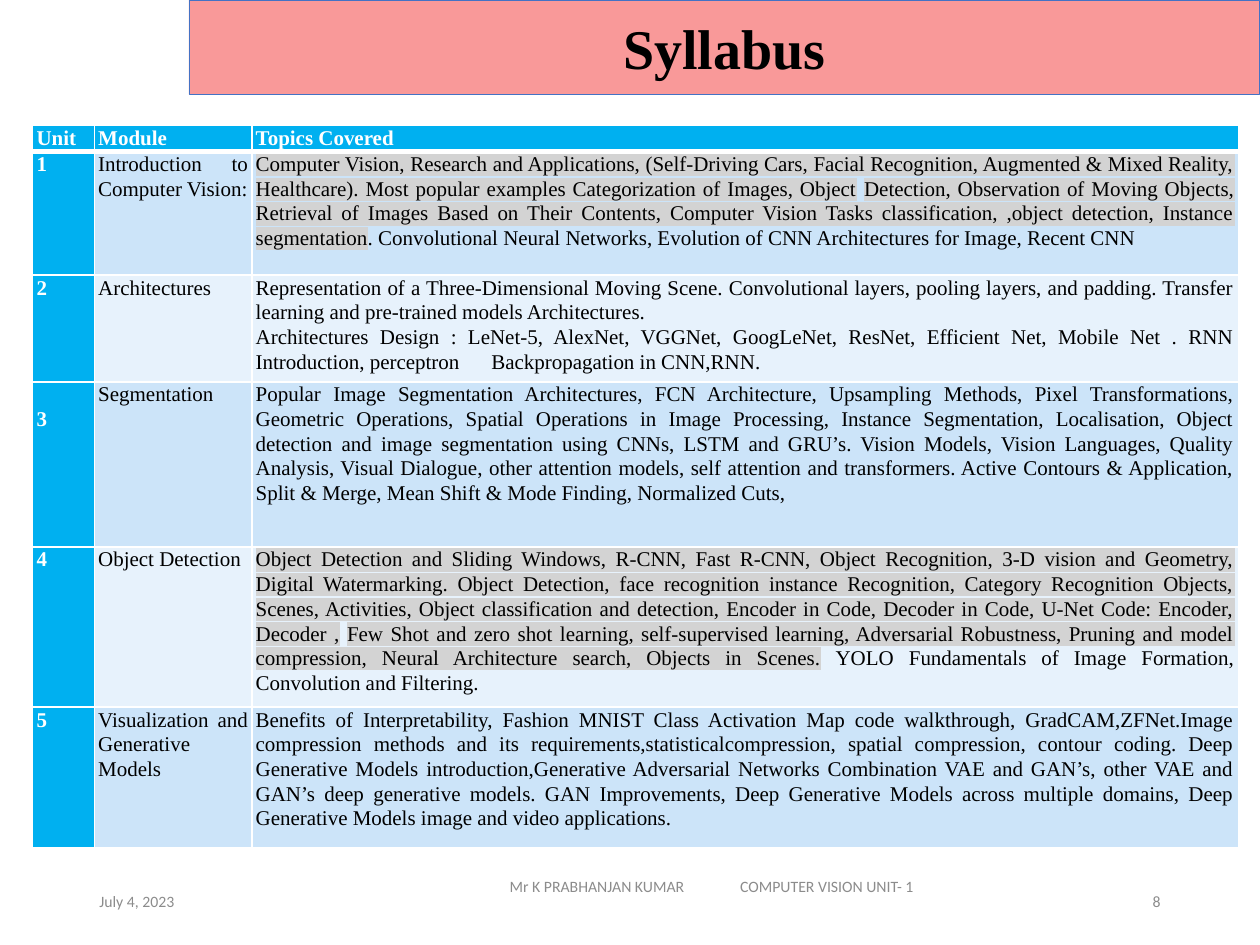
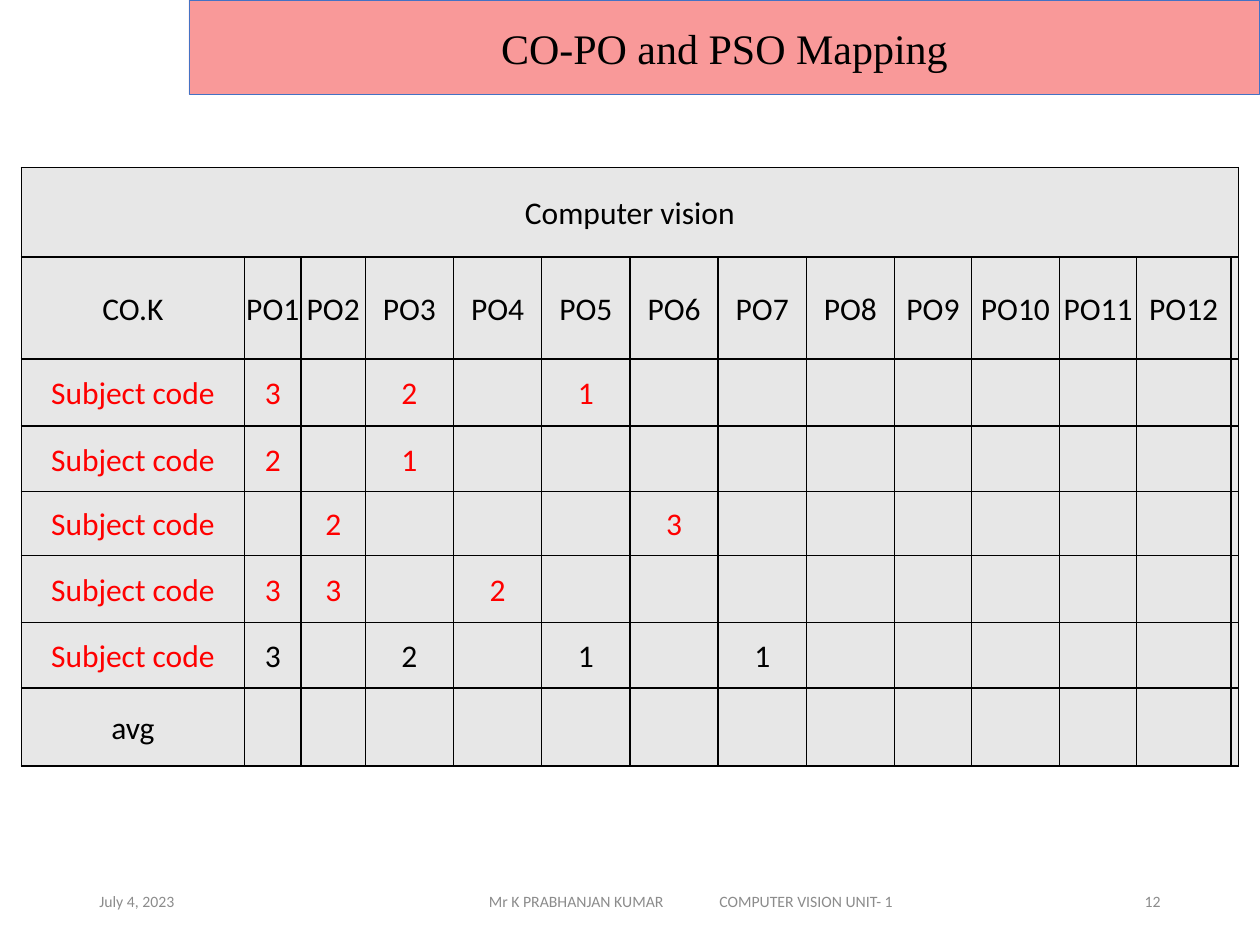
from dataclasses import dataclass, replace

from lxml.etree import SubElement
from pptx import Presentation
from pptx.dml.color import RGBColor
from pptx.enum.shapes import MSO_SHAPE as Shape
from pptx.enum.text import MSO_ANCHOR as Anchor, PP_ALIGN as Align
from pptx.oxml import parse_xml
from pptx.oxml.ns import nsdecls, qn
from pptx.util import Inches, Pt

BLACK, WHITE, RED = "000000", "FFFFFF", "FF0000"
BAND, BAND_EDGE = "F99999", "4472C4"
HEADER_BLUE, STRIPES = "00B0F0", ("CCE4F9", "E7F2FC")
MAPPING_GREY, MARKER_GREY, FOOTER_GREY = "E7E7E7", "D3D3D3", "8C8C8C"
SERIF, SANS = "Times New Roman", "Calibri"


def color(value):
    return RGBColor.from_string(value)


@dataclass(frozen=True)
class Look:
    font: str = SANS
    size: float = 18
    color: str = BLACK
    bold: bool = False
    align: Align = Align.LEFT
    spacing: float = 1.0


FOOTER = Look(size=9, color=FOOTER_GREY)
TOPIC = Look(SERIF, 12, align=Align.JUSTIFY, spacing=1.06)
UNIT = replace(TOPIC, color=WHITE, bold=True, align=Align.LEFT)
SCORE = Look(align=Align.CENTER, spacing=1.06)


class Deck:
    """Holds the presentation and the current page; 100 columns by 75 rows."""

    def __init__(self):
        self.file = Presentation()
        self.file.slide_width, self.file.slide_height = Inches(10), Inches(7.5)
        self.page = None

    def new_page(self):
        self.page = self.file.slides.add_slide(self.file.slide_layouts[6])

    def grid(self, *cells):
        return [round(self.file.slide_width * cell / 100) for cell in cells]

    # Text: a paragraph is a list of spans; a (text, True) span is highlighted
    def fill_text(self, frame, paragraphs, look, tab=None):
        frame.word_wrap = True
        for index, spans in enumerate(paragraphs):
            para = frame.add_paragraph() if index else frame.paragraphs[0]
            if tab:
                tabs = SubElement(para._p.get_or_add_pPr(), qn("a:tabLst"))
                SubElement(tabs, qn("a:tab"), pos=str(self.grid(tab)[0]), algn="l")
            para.alignment, para.line_spacing = look.align, look.spacing
            for span in spans:
                text, marked = span if isinstance(span, tuple) else (span, False)
                run = para.add_run()
                run.text = text
                font = run.font
                font.name, font.size, font.bold = look.font, Pt(look.size), look.bold
                font.color.rgb = color(look.color)
                if marked:
                    run._r.rPr.find(qn("a:solidFill")).addnext(parse_xml(
                        f'<a:highlight {nsdecls("a")}>'
                        f'<a:srgbClr val="{MARKER_GREY}"/></a:highlight>'))

    def text(self, place, words, look, inset=1, tab=None):
        box = self.page.shapes.add_textbox(*self.grid(*place))
        frame = box.text_frame
        frame.vertical_anchor = Anchor.MIDDLE
        frame.margin_left = self.grid(inset)[0]
        self.fill_text(frame, [[words]], look, tab)

    def title(self, words, size, bold=False):
        band = self.page.shapes.add_shape(Shape.RECTANGLE, *self.grid(15, 0, 85, 7.5))
        band.shadow.inherit = False
        band.fill.solid()
        band.fill.fore_color.rgb = color(BAND)
        band.line.color.rgb = color(BAND_EDGE)
        band.line.width = Pt(0.5)
        band.text_frame.vertical_anchor = Anchor.MIDDLE
        self.fill_text(band.text_frame, [[words]],
                       Look(SERIF, size, bold=bold, align=Align.CENTER))

    def footer(self, number, left, top, width):
        self.text((6.9, 69.5, 22.5, 4), "July 4, 2023", FOOTER)
        # The two parts take 32.4 columns and sit centred in their box
        self.text((left, top, width, 4),
                  "Mr K PRABHANJAN KUMAR\tCOMPUTER VISION UNIT- 1",
                  FOOTER, inset=(width - 32.4) / 2, tab=18.3)
        self.text((80, 69.5, 13.1, 4), number, replace(FOOTER, align=Align.RIGHT))

    def table(self, left, top, columns, rows):
        frame = self.page.shapes.add_table(
            len(rows), len(columns),
            *self.grid(left, top, sum(columns), sum(rows)))
        table = frame.table
        table.first_row = table.horz_banding = False
        for column, width in zip(table.columns, self.grid(*columns)):
            column.width = width
        for row, height in zip(table.rows, self.grid(*rows)):
            row.height = height
        return table

    def cell(self, cell, paragraphs, look, fill, edge, insets,
             anchor=Anchor.TOP, tab=None, **edge_widths):
        cell.margin_left, cell.margin_top, cell.margin_right, cell.margin_bottom = \
            self.grid(*insets)
        cell.vertical_anchor = anchor
        cell.fill.solid()
        cell.fill.fore_color.rgb = color(fill)
        for index, side in enumerate("LRTB"):
            width = Pt(edge_widths.get(side, 1))
            cell._tc.tcPr.insert(index, parse_xml(
                f'<a:ln{side} {nsdecls("a")} w="{width}"><a:solidFill>'
                f'<a:srgbClr val="{edge}"/></a:solidFill></a:ln{side}>'))
        self.fill_text(cell.text_frame, paragraphs, look, tab)


SYLLABUS = [
    ("Introduction to Computer Vision:", [[
        ("Computer Vision, Research and Applications, (Self-Driving Cars, Facial "
         "Recognition, Augmented & Mixed Reality, Healthcare). Most popular examples "
         "Categorization of Images, Object", True),
        " ",
        ("Detection, Observation of Moving Objects, Retrieval of Images Based on Their "
         "Contents, Computer Vision Tasks classification, ,object detection, Instance "
         "segmentation", True),
        ". Convolutional Neural Networks, Evolution of CNN Architectures for Image, "
        "Recent CNN"]]),
    ("Architectures", [
        ["Representation of a Three-Dimensional Moving Scene. Convolutional layers, "
         "pooling layers, and padding. Transfer learning and pre-trained models "
         "Architectures."],
        ["Architectures Design : LeNet-5, AlexNet, VGGNet, GoogLeNet, ResNet, Efficient "
         "Net, Mobile Net . RNN Introduction, perceptron\tBackpropagation in CNN,RNN."]]),
    ("Segmentation", [[
        "Popular Image Segmentation Architectures, FCN Architecture, Upsampling Methods, "
        "Pixel Transformations, Geometric Operations, Spatial Operations in Image "
        "Processing, Instance Segmentation, Localisation, Object detection and image "
        "segmentation using CNNs, LSTM and GRU’s. Vision Models, Vision Languages, "
        "Quality Analysis, Visual Dialogue, other attention models, self attention and "
        "transformers. Active Contours & Application, Split & Merge, Mean Shift & Mode "
        "Finding, Normalized Cuts,"]]),
    ("Object Detection", [[
        ("Object Detection and Sliding Windows, R-CNN, Fast R-CNN, Object Recognition, "
         "3-D vision and Geometry, Digital Watermarking. Object Detection, face "
         "recognition instance Recognition, Category Recognition Objects, Scenes, "
         "Activities, Object classification and detection, Encoder in Code, Decoder in "
         "Code, U-Net Code: Encoder, Decoder ,", True),
        " ",
        ("Few Shot and zero shot learning, self-supervised learning, Adversarial "
         "Robustness, Pruning and model compression, Neural Architecture search, "
         "Objects in Scenes.", True),
        " YOLO Fundamentals of Image Formation, Convolution and Filtering."]]),
    ("Visualization and Generative Models", [[
        "Benefits of Interpretability, Fashion MNIST Class Activation Map code "
        "walkthrough, GradCAM,ZFNet.Image compression methods and its "
        "requirements,statisticalcompression, spatial compression, contour coding. Deep "
        "Generative Models introduction,Generative Adversarial Networks Combination VAE "
        "and GAN’s, other VAE and GAN’s deep generative models. GAN Improvements, Deep "
        "Generative Models across multiple domains, Deep Generative Models image and "
        "video applications."]]),
]

# Scores by programme outcome, one entry per subject row
SCORES = [{1: 3, 3: 2, 5: 1}, {1: 2, 3: 1}, {2: 2, 6: 3},
          {1: 3, 2: 3, 4: 2}, {1: 3, 3: 2, 5: 1, 7: 1}]


def syllabus_page(deck):
    deck.new_page()
    deck.footer("8", 30.8, 68.3, 51.7)
    deck.title("Syllabus", 32, bold=True)
    table = deck.table(2.6, 9.9, [4.9, 12.5, 78.3], [2, 9.8, 7.9, 13.1, 11.9, 11.2])
    insets = (0.3, 0, 0.3, 0)
    # Header row
    for column, words in enumerate(["Unit", "Module", "Topics Covered"]):
        deck.cell(table.cell(0, column), [[words]], UNIT, HEADER_BLUE, WHITE,
                  insets, Anchor.MIDDLE, B=3)
    # One row per unit; the third number sits one line lower
    for unit, (module, topics) in enumerate(SYLLABUS, 1):
        stripe = STRIPES[(unit - 1) % 2]
        top_edge = 3 if unit == 1 else 1
        drop = 1.96 if unit == 3 else 0
        tab = 18.7 if unit == 2 else None
        deck.cell(table.cell(unit, 0), [[str(unit)]], UNIT, HEADER_BLUE, WHITE,
                  (0.3, drop, 0.3, 0), T=top_edge)
        deck.cell(table.cell(unit, 1), [[module]], TOPIC, stripe, WHITE,
                  insets, T=top_edge)
        deck.cell(table.cell(unit, 2), topics, TOPIC, stripe, WHITE,
                  insets, tab=tab, T=top_edge)


def mapping_page(deck):
    deck.new_page()
    outcomes = range(1, 13)
    table = deck.table(
        1.7, 13.3, [17.7, 4.5, 5.1] + [7] * 6 + [6.1, 7, 6.1, 7.5, 0.4],
        [7.1, 8.1, 5.3, 5.2, 5.1, 5.3, 5.2, 6.2])
    rows = [["Computer vision"], ["CO.K"] + [f"PO{number}" for number in outcomes]]
    rows += [["Subject code"] + [str(scores.get(number, "")) for number in outcomes]
             for scores in SCORES]
    rows.append(["avg"])
    last_subject = len(rows) - 2
    for row, words in enumerate(rows):
        for column in range(len(table.columns)):
            word = words[column] if column < len(words) else ""
            # Subject rows are red, except the scores of the last one
            red = 2 <= row < last_subject or (row == last_subject and column == 0)
            deck.cell(table.cell(row, column), [[word] if word else []],
                      replace(SCORE, color=RED if red else BLACK),
                      MAPPING_GREY, BLACK, (0.1, 0.1, 0.1, 0), Anchor.MIDDLE)
    table.cell(0, 0).merge(table.cell(0, len(table.columns) - 1))
    deck.footer("12", 27.5, 69.5, 55)
    deck.title("CO-PO and PSO Mapping", 24)


def main():
    deck = Deck()
    syllabus_page(deck)
    mapping_page(deck)
    deck.file.save("out.pptx")


if __name__ == "__main__":
    main()
